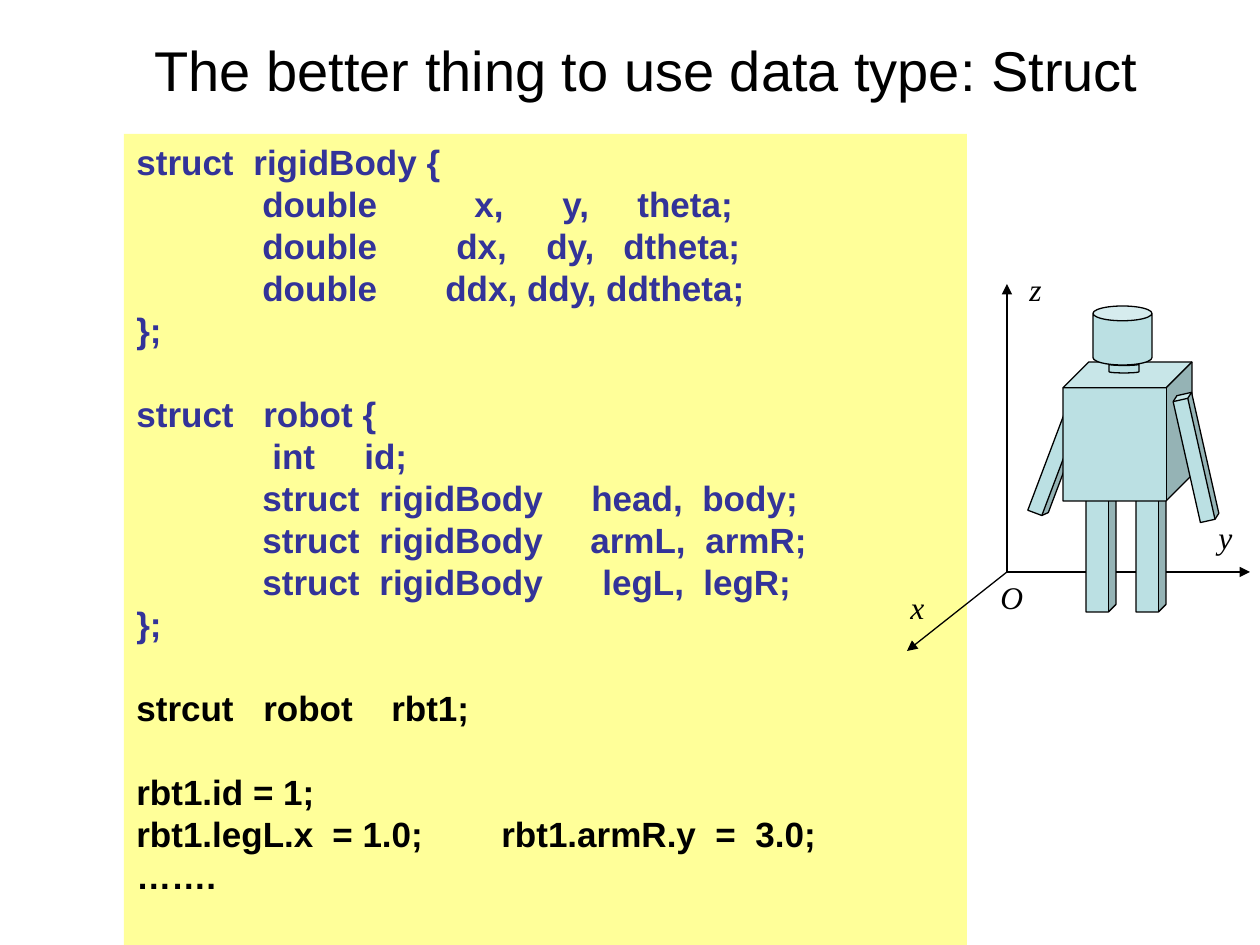
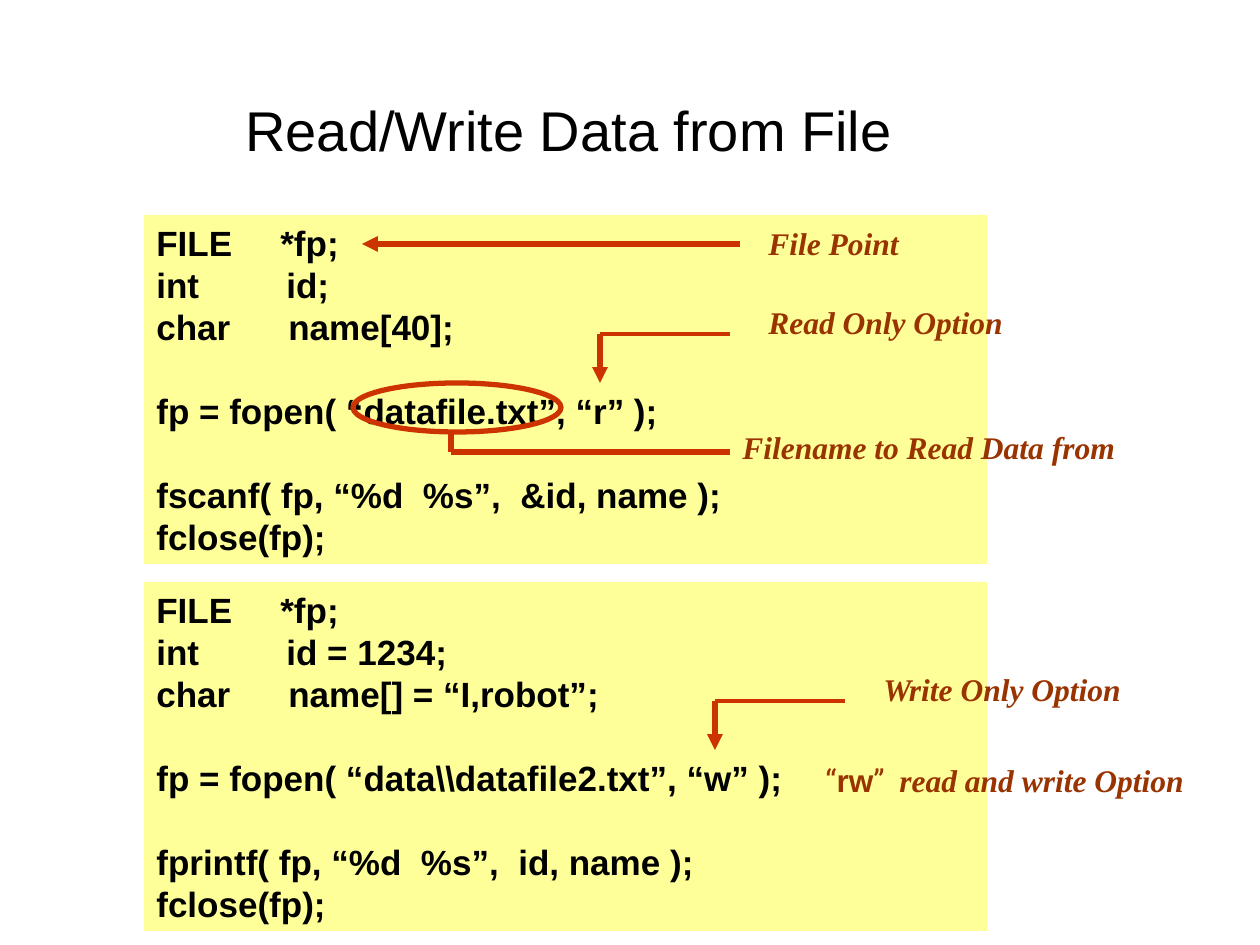
from dataclasses import dataclass

from lxml import etree
from pptx import Presentation
from pptx.dml.color import RGBColor
from pptx.enum.shapes import MSO_CONNECTOR, MSO_SHAPE
from pptx.enum.text import MSO_ANCHOR, PP_ALIGN
from pptx.oxml.ns import qn
from pptx.util import Emu, Pt

RECTANGLE, ELLIPSE = MSO_SHAPE.RECTANGLE, MSO_SHAPE.OVAL
CUBE, CAN = MSO_SHAPE.CUBE, MSO_SHAPE.CAN
STRAIGHT = MSO_CONNECTOR.STRAIGHT
TOP, LEFT = MSO_ANCHOR.TOP, PP_ALIGN.LEFT

EMU_PER_PX = 914400 / 126
SLIDE_SIZE = (1260, 945)
BLANK_LAYOUT = 6
CODE_WIDTH = 843
LABEL_HEIGHT = 50
LINE_HEIGHT = 1.2

COLORS = {
    "text": "000000",
    "declaration": "333399",
    "code_panel": "FFFF99",
    "robot": "BBE0E3",
    "pointer": "CC3300",
    "note": "993300",
}
CODE = {"size": 20, "bold": True}
NOTE = {"size": 18, "font": "Times New Roman", "color": "note",
        "bold": True, "italic": True}
AXIS_LABEL = {"size": 18, "font": "Times New Roman", "italic": True}


@dataclass
class Line:
    """One line of text: runs of (text, format changes), tab stops in px."""
    runs: list
    tabs: tuple = ()
    gap: bool = False
    color: str = "text"


def code(text, *tabs, gap=False, color="text"):
    return Line([(text, {})], tabs, gap, color)


def declared(text, *tabs, gap=False):
    return code(text, *tabs, gap=gap, color="declaration")


STRUCT_CODE = [
    declared("struct\trigidBody {", 117),
    declared("\tdouble\tx,\ty,\ttheta;", 126, 338, 426, 501),
    declared("\tdouble\tdx,\tdy,\tdtheta;", 126, 320, 410, 487),
    declared("\tdouble\tddx, ddy, ddtheta;", 126, 309),
    declared("};"),
    declared("struct\trobot {", 127, gap=True),
    declared("\tint\tid;", 136, 228),
    declared("\tstruct\trigidBody\thead,\tbody;", 126, 243, 455, 566),
    declared("\tstruct\trigidBody\tarmL,\tarmR;", 126, 243, 454, 569),
    declared("\tstruct\trigidBody\tlegL,\tlegR;", 126, 243, 466, 567),
    declared("};"),
    code("strcut\trobot\trbt1;", 127, 255, gap=True),
    code("rbt1.id = 1;", gap=True),
    code("rbt1.legL.x\t= 1.0;\trbt1.armR.y\t=\t3.0;", 196, 365, 579, 619),
    code("……."),
]


def file_code(id_value, name_value, fopen, transfer, argument_tab):
    """Lines of a program that opens, uses and closes a file."""
    return [
        code("FILE\t*fp;", 124),
        code(f"int\tid{id_value};", 130),
        code(f"char\tname{name_value};", 132),
        code(f"fp = fopen( {fopen} );", gap=True),
        code(transfer, argument_tab, gap=True),
        code("fclose(fp);"),
    ]


READ_CODE = file_code("", "[40]", "“datafile.txt”, “r”",
                      "fscanf( fp, “%d  %s”,\t&id, name );", 364)
WRITE_CODE = file_code(" = 1234", "[] = “I,robot”",
                       "“data\\\\datafile2.txt”, “w”",
                       "fprintf( fp, “%d  %s”,\tid, name );", 362)


def px(length):
    return Emu(round(length * EMU_PER_PX))


def rgb(name):
    return RGBColor.from_string(COLORS[name])


def format_run(run, size, font="Arial", color="text", bold=False, italic=False):
    run.font.size = Pt(size)
    run.font.name = font
    run.font.color.rgb = rgb(color)
    run.font.bold = bold
    run.font.italic = italic


def set_tabs(paragraph, stops):
    tab_list = etree.SubElement(paragraph._p.get_or_add_pPr(), qn("a:tabLst"))
    for stop in stops:
        etree.SubElement(tab_list, qn("a:tab"), pos=str(px(stop)), algn="l")


def write(shape, lines, size, wrap=False, **style):
    frame = shape.text_frame
    frame.word_wrap = wrap
    frame.vertical_anchor = TOP
    line_height = Pt(size * LINE_HEIGHT)
    for number, line in enumerate(lines):
        paragraph = frame.add_paragraph() if number else frame.paragraphs[0]
        paragraph.alignment = LEFT
        paragraph.line_spacing = line_height
        paragraph.space_before = line_height if line.gap else Pt(0)
        if line.tabs:
            set_tabs(paragraph, line.tabs)
        for text, changes in line.runs:
            run = paragraph.add_run()
            run.text = text
            format_run(run, **{"size": size, "color": line.color,
                               **style, **changes})


def add_label(slide, text, left, top, width, height=LABEL_HEIGHT, **style):
    """Unwrapped text; text is a string or a Line."""
    box = slide.shapes.add_textbox(px(left), px(top), px(width), px(height))
    line = text if isinstance(text, Line) else code(text)
    write(box, [line], **style)


def add_title(slide, text, left, top, width):
    add_label(slide, text, left, top, width, 81, size=32)


def add_solid(slide, kind, left, top, width, height, fill=None, outline=None,
              weight=0.75, rotation=0, depth=None):
    solid = slide.shapes.add_shape(kind, px(left), px(top), px(width), px(height))
    solid.shadow.inherit = False
    solid.rotation = rotation
    if depth is not None:
        solid.adjustments[0] = depth
    if fill:
        solid.fill.solid()
        solid.fill.fore_color.rgb = rgb(fill)
    else:
        solid.fill.background()
    if outline:
        solid.line.color.rgb = rgb(outline)
        solid.line.width = Pt(weight)
    else:
        solid.line.fill.background()
    return solid


def add_code_panel(slide, lines, left, top, height):
    panel = add_solid(slide, RECTANGLE, left, top, CODE_WIDTH, height,
                      fill="code_panel")
    write(panel, lines, wrap=True, **CODE)


def add_line(slide, start, end, color="pointer", weight=3, arrow=False):
    line = slide.shapes.add_connector(STRAIGHT, *map(px, start + end))
    line.line.color.rgb = rgb(color)
    line.line.width = Pt(weight)
    if arrow:
        etree.SubElement(line.line._get_or_add_ln(), qn("a:tailEnd"),
                         type="triangle")
    etree.SubElement(line._element.spPr, qn("a:effectLst"))


def add_axes(slide):
    origin = (1007, 572)
    for tip in ((1007, 284), (1250, 572), (907, 651)):
        add_line(slide, origin, tip, "text", 0.75, arrow=True)
    for name, left, top, width in (("x", 898, 582, 42), ("y", 1206, 512, 42),
                                   ("z", 1017, 264, 42), ("O", 988, 572, 52)):
        add_label(slide, name, left, top, width, **AXIS_LABEL)


def add_robot(slide):
    arm, leg = (20, 129), (30, 129)
    parts = [
        (CUBE, (1050, 389), arm, 20.7, 0.25),
        (CUBE, (1086, 483), leg, 0, 0.25),
        (CUBE, (1136, 483), leg, 0, 0.25),
        (CUBE, (1063, 362), (129, 139), 0, 0.2),
        (CUBE, (1186, 393), arm, 347.3, 0.25),
        (CAN, (1109, 363), (30, 10), 0, 0.25),
        (CAN, (1093, 306), (59, 59), 0, 0.25),
    ]
    for kind, position, size, rotation, depth in parts:
        add_solid(slide, kind, *position, *size, fill="robot", outline="text",
                  rotation=rotation, depth=depth)


def add_mode_pointer(slide, note, x, y, width):
    """Bent arrow from a note down to the mode argument of fopen."""
    add_line(slide, (x, y), (x, y + 49), arrow=True)
    add_line(slide, (x, y), (x + 130, y), weight=2.25)
    add_label(slide, note, x + 156, y - 37, width, **NOTE)


def build_struct_slide(slide):
    add_code_panel(slide, STRUCT_CODE, 124, 134, 811)
    add_title(slide, "The better thing to use data type: Struct", 142, 29, 1050)
    add_axes(slide)
    add_robot(slide)


def build_file_slide(slide):
    add_code_panel(slide, READ_CODE, 144, 215, 349)
    add_title(slide, "Read/Write Data from File", 233, 89, 700)
    add_code_panel(slide, WRITE_CODE, 144, 582, 349)

    add_line(slide, (740, 244), (362, 244), arrow=True)
    add_label(slide, "File Point", 756, 218, 180, **NOTE)

    add_solid(slide, ELLIPSE, 353, 383, 208, 49, outline="pointer", weight=3)
    add_line(slide, (451, 432), (451, 452))
    add_line(slide, (451, 452), (730, 452))
    add_label(slide, "Filename to Read Data from", 730, 422, 420, **NOTE)

    add_mode_pointer(slide, "Read Only Option", 600, 334, 280)
    add_mode_pointer(slide, "Write Only Option", 715, 701, 280)

    quote = {"font": "Roboto", "bold": False, "italic": False}
    mode = {"font": "Arial", "italic": False}
    both_modes = Line([("“", quote), ("rw", mode), ("”\t", quote),
                       ("read and write Option", {})], tabs=(74,))
    add_label(slide, both_modes, 813, 755, 410, **NOTE)


def main():
    deck = Presentation()
    deck.slide_width, deck.slide_height = map(px, SLIDE_SIZE)
    for build in (build_struct_slide, build_file_slide):
        build(deck.slides.add_slide(deck.slide_layouts[BLANK_LAYOUT]))
    deck.save("out.pptx")


if __name__ == "__main__":
    main()
